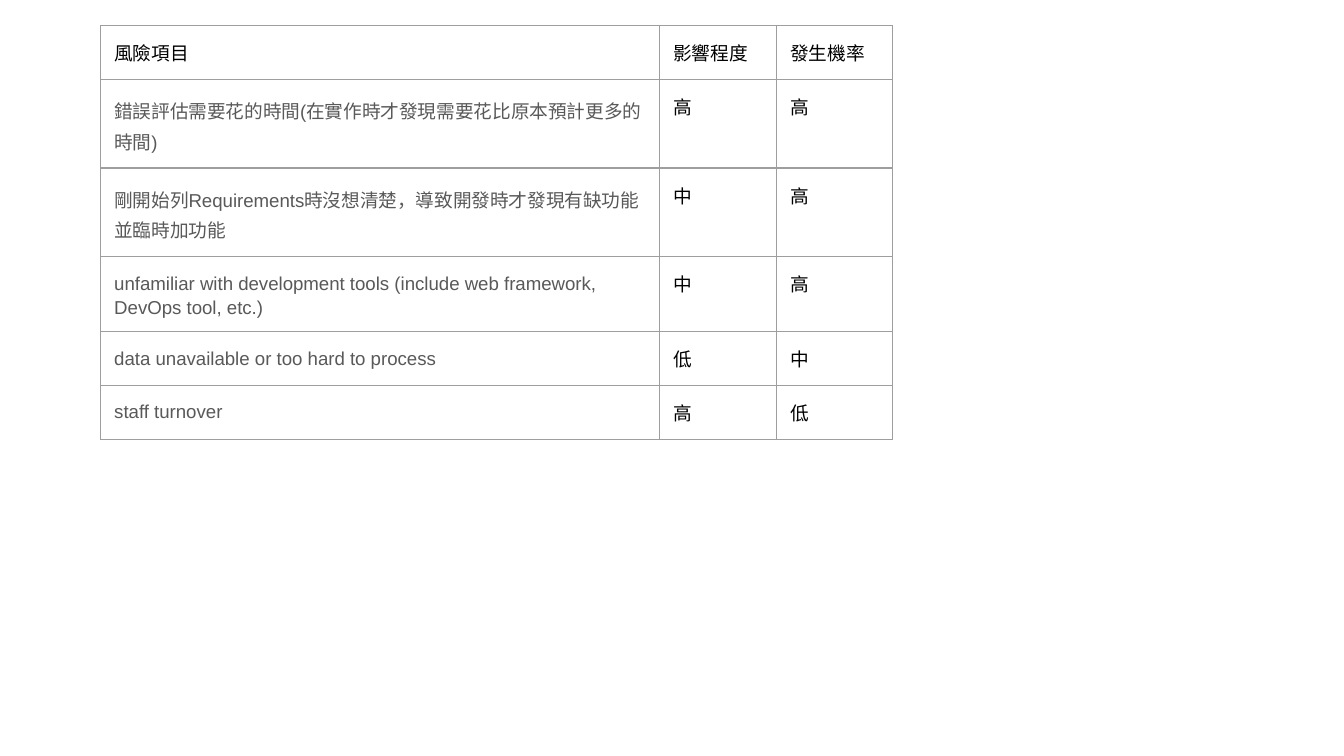
from lxml import etree
from pptx import Presentation
from pptx.dml.color import RGBColor
from pptx.oxml.ns import qn
from pptx.util import Inches, Pt

FONT = "Arial"
SIZE = Pt(10)
BLACK = "000000"
GREY = "595959"
RULE = "9E9E9E"
INSET = Inches(0.1)
COLS = [4.16, 0.87, 0.86]
LINES = [0.29, 0.58, 0.49, 0.5, 0.17, 0.3]
RISKS = [
    ("風險項目", "影響程度", "發生機率"),
    ("錯誤評估需要花的時間(在實作時才發現需要花比原本預計更多的時間)", "高", "高"),
    ("剛開始列Requirements時沒想清楚\uff0c導致開發時才發現有缺功能並臨時加功能",
     "中", "高"),
    ("unfamiliar with development tools (include web framework, DevOps tool, etc.)",
     "中", "高"),
    ("data unavailable or too hard to process", "低", "中"),
    ("staff turnover", "高", "低"),
]


def color(code):
    """Turn a hex string into a colour."""
    return RGBColor.from_string(code)


def add_run(para, text, code):
    """Add one run in the table's font."""
    run = para.add_run()
    run.text = text
    run.font.size = SIZE
    run.font.name = FONT
    run.font.color.rgb = color(code)


def add_edges(cell):
    """Rule all four sides of a cell."""
    props = cell._tc.get_or_add_tcPr()
    for spot, side in enumerate("LRTB"):
        line = etree.Element(qn("a:ln" + side), w=str(Pt(0.75)))
        fill = etree.SubElement(line, qn("a:solidFill"))
        etree.SubElement(fill, qn("a:srgbClr"), val=RULE)
        props.insert(spot, line)


def fill_cell(cell, text, risk):
    """Write and style one cell; risk marks a described risk."""
    cell.margin_left = cell.margin_right = INSET
    cell.margin_top = cell.margin_bottom = INSET
    cell.fill.background()
    add_edges(cell)
    para = cell.text_frame.paragraphs[0]
    if risk:
        para.line_spacing = 1.15
        para.space_after = Pt(12)
    add_run(para, text, GREY if risk else BLACK)


def add_grid(slide):
    """Add the risk table."""
    frame = slide.shapes.add_table(
        len(RISKS), len(COLS), Inches(0.75), Inches(0.19),
        Inches(sum(COLS)), Inches(sum(LINES)))
    table = frame.table
    table.first_row = table.horz_banding = False
    for col, width in zip(table.columns, COLS):
        col.width = Inches(width)
    for row, height in zip(table.rows, LINES):
        row.height = Inches(height)
    for y, texts in enumerate(RISKS):
        for x, text in enumerate(texts):
            fill_cell(table.cell(y, x), text, y > 0 and x == 0)


def main():
    """Build the slide and save it."""
    deck = Presentation()
    deck.slide_width = Inches(10)
    deck.slide_height = deck.slide_width * 9 // 16
    slide = deck.slides.add_slide(deck.slide_layouts[6])
    add_grid(slide)
    deck.save("out.pptx")


main()
